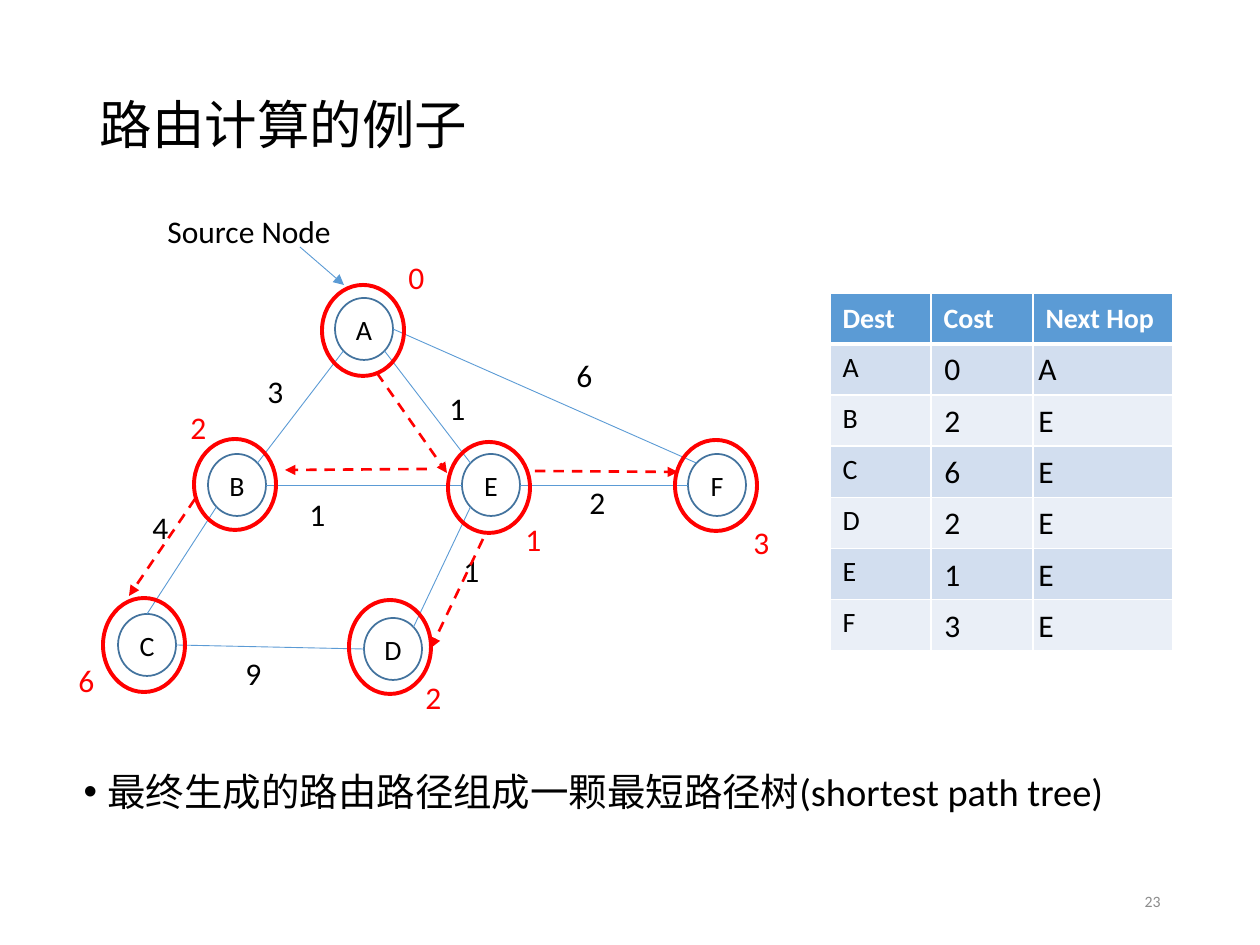
import pptx
import pptx.util
import pptx.dml.color
import pptx.enum.dml
import pptx.enum.shapes
import pptx.enum.text
import pptx.oxml
import pptx.oxml.ns

SCALE = 914400 / 126
FONT = "Calibri"
HEX = {
    "black": "000000", "white": "FFFFFF", "red": "FF0000", "gray": "8C8C8C",
    "blue": "5B9BD5", "navy": "43739E", "dark": "D2DEEF", "light": "EAEFF7",
}
SITES = {
    "top": (0.5, 0), "left": (0, 0.5), "right": (1, 0.5),
    "tl": (0.146, 0.146), "tr": (0.854, 0.146),
    "bl": (0.146, 0.854), "br": (0.854, 0.854),
}
NODE = (58, 62)
NODES = {
    "A": (335, 298), "B": (208, 454), "E": (462, 454),
    "F": (688, 454), "C": (118, 614), "D": (364, 618),
}
RINGS = [
    (322, 285, 82, 91), (448, 442, 82, 91), (194, 439, 82, 91),
    (675, 440, 82, 91), (349, 600, 82, 94), (103, 598, 82, 94),
]
EDGES = [
    ("A", "bl", "B", "tr"), ("B", "bl", "C", "top"),
    ("C", "right", "D", "left"), ("D", "tr", "E", "bl"),
    ("B", "right", "E", "left"), ("A", "br", "E", "tl"),
    ("E", "right", "F", "left"), ("A", "right", "F", "tl"),
]
WEIGHTS = [
    ("4", 140, 502), ("9", 233, 648), ("1", 451, 545), ("1", 297, 489),
    ("3", 255, 366), ("1", 437, 383), ("2", 577, 477), ("6", 564, 350),
]
COSTS = [
    ("0", 396, 252), ("1", 513, 514), ("2", 178, 402),
    ("3", 741, 517), ("2", 413, 672), ("6", 66, 655),
]
PATHS = [
    (377, 373, 447, 473), (427, 469, 285, 470), (535, 471, 678, 472),
    (483, 539, 431, 648), (195, 499, 129, 596),
]
HEADS = ("Dest", "Cost", "Next Hop")
ROUTES = [
    ("A", "0", "A"), ("B", "2", "E"), ("C", "6", "E"),
    ("D", "2", "E"), ("E", "1", "E"), ("F", "3", "E"),
]
ALIGN = pptx.enum.text.PP_ALIGN
ANCHOR = pptx.enum.text.MSO_ANCHOR


def px(*nums):
    """Turn pixels into a list of EMU lengths."""
    return [pptx.util.Emu(round(num * SCALE)) for num in nums]


def tint(name):
    """Return the named colour."""
    return pptx.dml.color.RGBColor.from_string(HEX[name])


def write(frame, text, size=18, color="black", bold=False, align=ALIGN.LEFT,
          anchor=ANCHOR.TOP, lead=None, before=None):
    """Put formatted text in a frame and return its paragraph."""
    frame.word_wrap = True
    frame.vertical_anchor = anchor
    para = frame.paragraphs[0]
    para.alignment = align
    para.line_spacing = lead
    para.space_before = before
    run = para.add_run()
    run.text = text
    font = run.font
    font.name, font.size, font.bold = FONT, pptx.util.Pt(size), bold
    font.color.rgb = tint(color)
    return para


def label(slide, text, box, **fmt):
    """Add a text box and return its paragraph."""
    frame = slide.shapes.add_textbox(*px(*box)).text_frame
    return write(frame, text, **fmt)


def oval(slide, box, color, width):
    """Add an unfilled ellipse."""
    kind = pptx.enum.shapes.MSO_SHAPE.OVAL
    shape = slide.shapes.add_shape(kind, *px(*box))
    shape.shadow.inherit = False
    shape.fill.background()
    shape.line.color.rgb = tint(color)
    shape.line.width = pptx.util.Pt(width)
    return shape


def node(slide, name):
    """Add a lettered network node."""
    frame = oval(slide, NODES[name] + NODE, "navy", 1).text_frame
    frame.margin_left = frame.margin_right = 0
    frame.margin_top = frame.margin_bottom = 0
    write(frame, name, size=16, align=ALIGN.CENTER, anchor=ANCHOR.MIDDLE)


def link(slide, ends, color="blue", width=0.5, dash=False, arrow=False):
    """Add a straight line with optional dashes and arrowhead."""
    kind = pptx.enum.shapes.MSO_CONNECTOR.STRAIGHT
    shape = slide.shapes.add_connector(kind, *px(*ends))
    line = shape.line
    line.color.rgb = tint(color)
    line.width = pptx.util.Pt(width)
    if dash:
        line.dash_style = pptx.enum.dml.MSO_LINE.DASH
    props = shape._element.spPr
    if arrow:
        tail = pptx.oxml.ns.qn("a:tailEnd")
        props.ln.append(props.ln.makeelement(tail, {"type": "triangle"}))
    props.append(props.makeelement(pptx.oxml.ns.qn("a:effectLst"), {}))


def point(name, site):
    """Find a connection point on a node."""
    return [pos + size * part
            for pos, size, part in zip(NODES[name], NODE, SITES[site])]


def paint(cell, fill, head=False):
    """Fill a cell and give it white borders, thicker below the header."""
    cell.fill.solid()
    cell.fill.fore_color.rgb = tint(fill)
    props = cell._tc.get_or_add_tcPr()
    for spot, side in enumerate("LRTB"):
        width = pptx.util.Pt(3 if head and side == "B" else 1)
        props.insert(spot, pptx.oxml.parse_xml(
            f'<a:ln{side} {pptx.oxml.ns.nsdecls("a")} w="{width}"><a:solidFill>'
            f'<a:srgbClr val="{HEX["white"]}"/></a:solidFill></a:ln{side}>'))


def table(slide):
    """Add the routing table with its destinations."""
    widths, high = (101, 102, 140), 51
    count = len(ROUTES) + 1
    box = px(830, 293, sum(widths), high * count)
    grid = slide.shapes.add_table(count, len(widths), *box).table
    for col, width in zip(grid.columns, px(*widths)):
        col.width = width
    for row in grid.rows:
        row.height = px(high)[0]
    for cell, text in zip(grid.rows[0].cells, HEADS):
        paint(cell, "blue", head=True)
        write(cell.text_frame, text, size=16, color="white", bold=True)
        cell.vertical_anchor = ANCHOR.MIDDLE
    for r, route in enumerate(ROUTES, 1):
        for cell in grid.rows[r].cells:
            paint(cell, "dark" if r % 2 else "light")
        write(grid.cell(r, 0).text_frame, route[0], size=16)


def hops(slide):
    """Lay the cost and next hop of each route over the table."""
    for r, (_, cost, hop) in enumerate(ROUTES):
        para = label(slide, f"{cost}\t{hop}", (932, 343 + 51.4 * r, 150, 50))
        props = para._p.get_or_add_pPr()
        props.append(pptx.oxml.parse_xml(
            f'<a:tabLst {pptx.oxml.ns.nsdecls("a")}>'
            f'<a:tab pos="{px(94)[0]}" algn="l"/></a:tabLst>'))


def place(shape, box):
    """Move a placeholder and return its text frame."""
    shape.left, shape.top, shape.width, shape.height = px(*box)
    shape.text_frame.auto_size = pptx.enum.text.MSO_AUTO_SIZE.NONE
    return shape.text_frame


def graph(slide):
    """Draw the network and its shortest path tree."""
    for name in NODES:
        node(slide, name)
    for start, out, end, into in EDGES:
        link(slide, point(start, out) + point(end, into))
    for text, x, y in WEIGHTS:
        label(slide, text, (x, y, 45, 50))
    link(slide, (300, 247, 344, 285), arrow=True)
    label(slide, "Source Node", (155, 206, 200, 50))
    for box in RINGS:
        oval(slide, box, "red", 2.25)
    for text, x, y in COSTS:
        label(slide, text, (x, y, 42, 50), color="red")
    for ends in PATHS:
        link(slide, ends, color="red", width=1.5, dash=True, arrow=True)


def main():
    """Build and save the slide."""
    deck = pptx.Presentation()
    deck.slide_width, deck.slide_height = px(1260, 945)
    slide = deck.slides.add_slide(deck.slide_layouts[1])
    title, body = slide.placeholders
    write(place(title, (87, 50, 1086, 155)), "路由计算的例子",
          size=30, anchor=ANCHOR.MIDDLE, lead=0.9)
    table(slide)
    graph(slide)
    hops(slide)
    para = write(place(body, (71, 748, 1086, 83)),
                 "最终生成的路由路径组成一颗最短路径树(shortest path tree)",
                 size=22, lead=1.3, before=pptx.util.Pt(7.5))
    props = para._p.get_or_add_pPr()
    dent = px(24)[0]
    props.set("marL", str(dent))
    props.set("indent", str(-dent))
    label(slide, "23", (890, 876, 283, 50), size=9, color="gray",
          align=ALIGN.RIGHT, anchor=ANCHOR.MIDDLE)
    deck.save("out.pptx")


if __name__ == "__main__":
    main()
